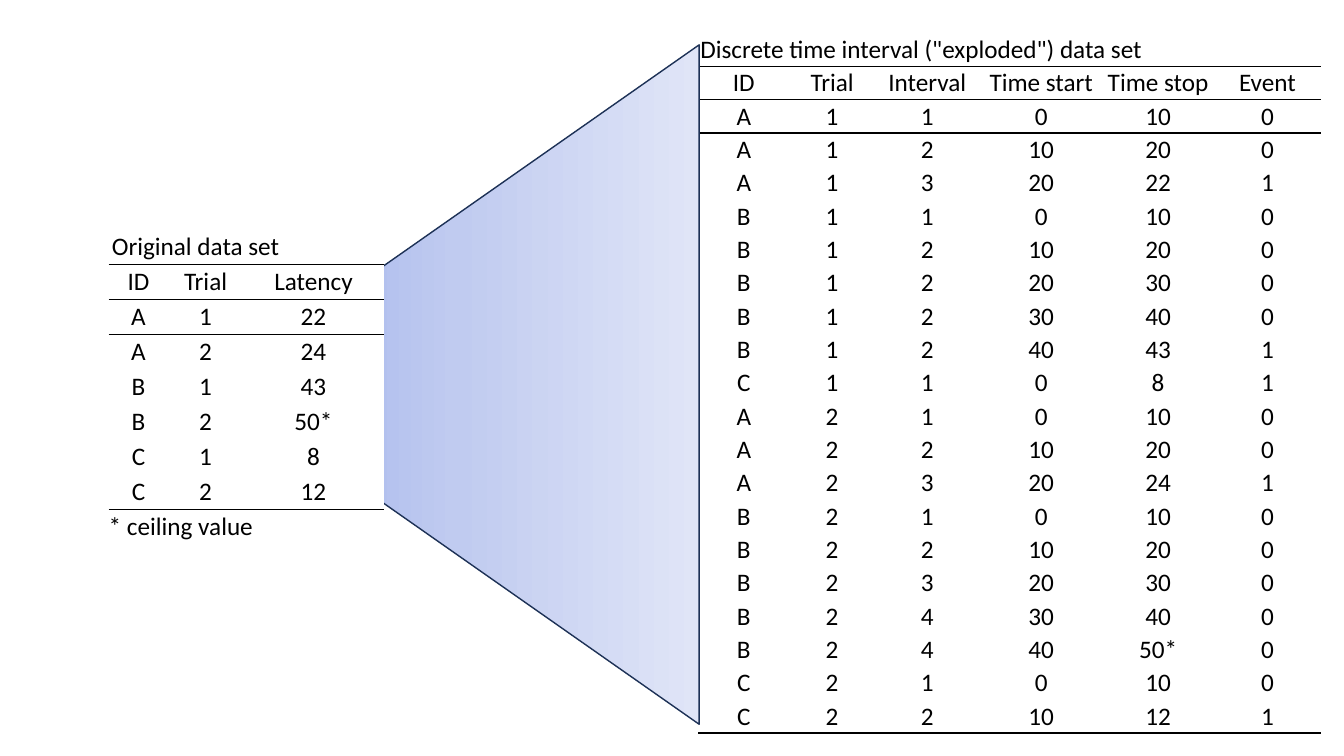
"""Build a slide that expands a latency data set into discrete time intervals."""
from lxml.etree import SubElement
from pptx import Presentation
from pptx.dml.color import RGBColor
from pptx.enum.shapes import MSO_SHAPE
from pptx.enum.text import MSO_ANCHOR, PP_ALIGN
from pptx.oxml import parse_xml
from pptx.oxml.ns import nsdecls, qn
from pptx.util import Cm, Pt

BLACK = RGBColor(0x00, 0x00, 0x00)
WHITE = RGBColor(0xFF, 0xFF, 0xFF)
NAVY = RGBColor(0x1E, 0x32, 0x56)
GRADIENT = (
    (0, RGBColor(0x96, 0xAB, 0xEA)),
    (50, RGBColor(0xC0, 0xCB, 0xF0)),
    (100, RGBColor(0xE0, 0xE5, 0xF7)),
)
FONT = "Calibri"
NO_STYLE = "{2D5ABB26-0587-4C30-8999-92F81FD0307C}"

ORIGINAL = [
    ["Original data set"],
    ["ID", "Trial", "Latency"],
    ["A", "1", "22"],
    ["A", "2", "24"],
    ["B", "1", "43"],
    ["B", "2", "50*"],
    ["C", "1", "8"],
    ["C", "2", "12"],
    ["* ceiling value"],
]
EXPLODED = [
    ['Discrete time interval ("exploded") data set'],
    ["ID", "Trial", "Interval", "Time start", "Time stop", "Event"],
    ["A", "1", "1", "0", "10", "0"],
    ["A", "1", "2", "10", "20", "0"],
    ["A", "1", "3", "20", "22", "1"],
    ["B", "1", "1", "0", "10", "0"],
    ["B", "1", "2", "10", "20", "0"],
    ["B", "1", "2", "20", "30", "0"],
    ["B", "1", "2", "30", "40", "0"],
    ["B", "1", "2", "40", "43", "1"],
    ["C", "1", "1", "0", "8", "1"],
    ["A", "2", "1", "0", "10", "0"],
    ["A", "2", "2", "10", "20", "0"],
    ["A", "2", "3", "20", "24", "1"],
    ["B", "2", "1", "0", "10", "0"],
    ["B", "2", "2", "10", "20", "0"],
    ["B", "2", "3", "20", "30", "0"],
    ["B", "2", "4", "30", "40", "0"],
    ["B", "2", "4", "40", "50*", "0"],
    ["C", "2", "1", "0", "10", "0"],
    ["C", "2", "2", "10", "12", "1"],
]


def add_border(cell, side):
    """Draw a thin black rule on the top (T) or bottom (B) of a cell."""
    tc_pr = cell._tc.get_or_add_tcPr()
    ln = parse_xml(
        f'<a:ln{side} {nsdecls("a")} w="{Pt(1)}"><a:solidFill>'
        f'<a:srgbClr val="{BLACK}"/></a:solidFill></a:ln{side}>'
    )
    tc_pr.insert(0, ln)


def format_cell(cell, margin_x, margin_y, fill):
    """Set the anchor, margins and fill of a cell."""
    cell.vertical_anchor = MSO_ANCHOR.BOTTOM
    cell.margin_left = cell.margin_right = Cm(margin_x)
    cell.margin_top = cell.margin_bottom = Cm(margin_y)
    if fill is None:
        cell.fill.background()
    else:
        cell.fill.solid()
        cell.fill.fore_color.rgb = fill


def write_cell(cell, text, align):
    """Write one formatted line of text in a cell."""
    p = cell.text_frame.paragraphs[0]
    p.text = text
    p.alignment = align
    p.font.name = FONT
    p.font.size = Pt(18)
    p.font.color.rgb = BLACK


def add_data_table(slide, rows, left, top, widths, height, margins, fill=None):
    """Add a ruled table whose one-item rows span its full width."""
    last_data = max(i for i, row in enumerate(rows) if len(row) > 1)
    ruled = {0, 1, last_data}
    table = slide.shapes.add_table(
        len(rows), len(widths), Cm(left), Cm(top),
        Cm(sum(widths)), Cm(height * len(rows)),
    ).table
    table.first_row = table.horz_banding = False
    table._tbl.tblPr.find(qn("a:tableStyleId")).text = NO_STYLE
    for column, width in zip(table.columns, widths):
        column.width = Cm(width)
    for i, row in enumerate(rows):
        table.rows[i].height = Cm(height)
        for cell in table.rows[i].cells:
            format_cell(cell, *margins, fill)
            if i in ruled:
                add_border(cell, "B")
            if i - 1 in ruled:
                add_border(cell, "T")
        spans = len(row) == 1
        if spans:
            table.cell(i, 0).merge(table.cell(i, len(widths) - 1))
        for j, text in enumerate(row):
            align = PP_ALIGN.LEFT if spans else PP_ALIGN.CENTER
            write_cell(table.cell(i, j), text, align)
    return table


def add_expansion_triangle(slide, left, top, width, height):
    """Add a gradient triangle that points left."""
    sp = slide.shapes.add_shape(
        MSO_SHAPE.ISOSCELES_TRIANGLE, Cm(left), Cm(top), Cm(width), Cm(height)
    )
    sp.rotation = 270
    sp.shadow.inherit = False
    sp.line.color.rgb = NAVY
    sp.line.width = Pt(1)
    sp.fill.gradient()
    grad = sp._element.spPr.find(qn("a:gradFill"))
    grad.set("rotWithShape", "1")
    stops = grad.find(qn("a:gsLst"))
    for old in list(stops):
        stops.remove(old)
    for percent, color in GRADIENT:
        gs = SubElement(stops, qn("a:gs"), pos=str(percent * 1000))
        SubElement(gs, qn("a:srgbClr"), val=str(color))
    sp.fill.gradient_angle = 270


def main():
    """Build and save the slide."""
    prs = Presentation()
    prs.slide_width, prs.slide_height = Cm(33.87), Cm(19.05)
    slide = prs.slides.add_slide(prs.slide_layouts[6])
    add_data_table(
        slide, EXPLODED, 17.6, 0.83,
        [2.29, 2.16, 2.64, 3.1, 2.79, 2.72], 0.84, (0.05, 0.03),
    )
    add_expansion_triangle(slide, 2.95, 3.58, 17.12, 12.22)
    original = add_data_table(
        slide, ORIGINAL, 2.74, 5.79, [1.5, 1.88, 3.56], 0.88, (0.08, 0.05), WHITE
    )
    footnote = original.cell(len(ORIGINAL) - 1, 0)
    footnote.margin_left = footnote.margin_right = 0
    prs.save("out.pptx")


if __name__ == "__main__":
    main()
